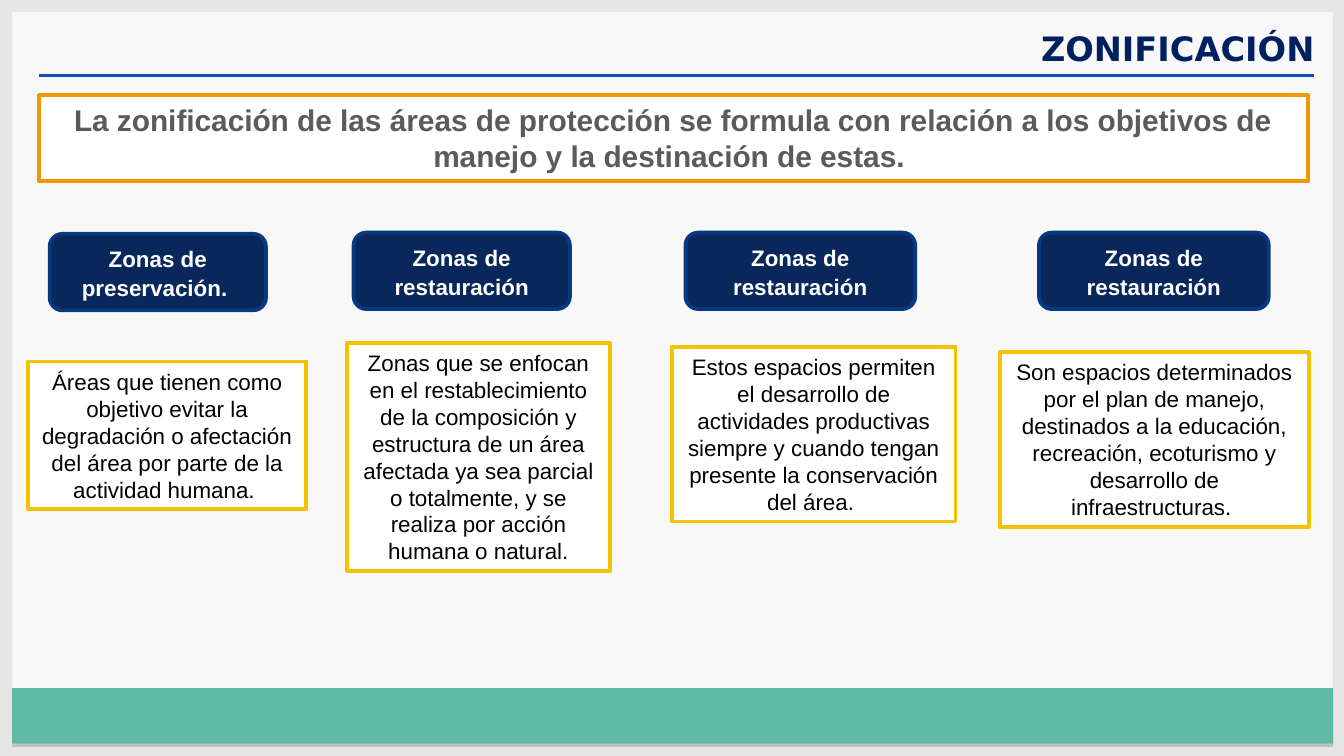
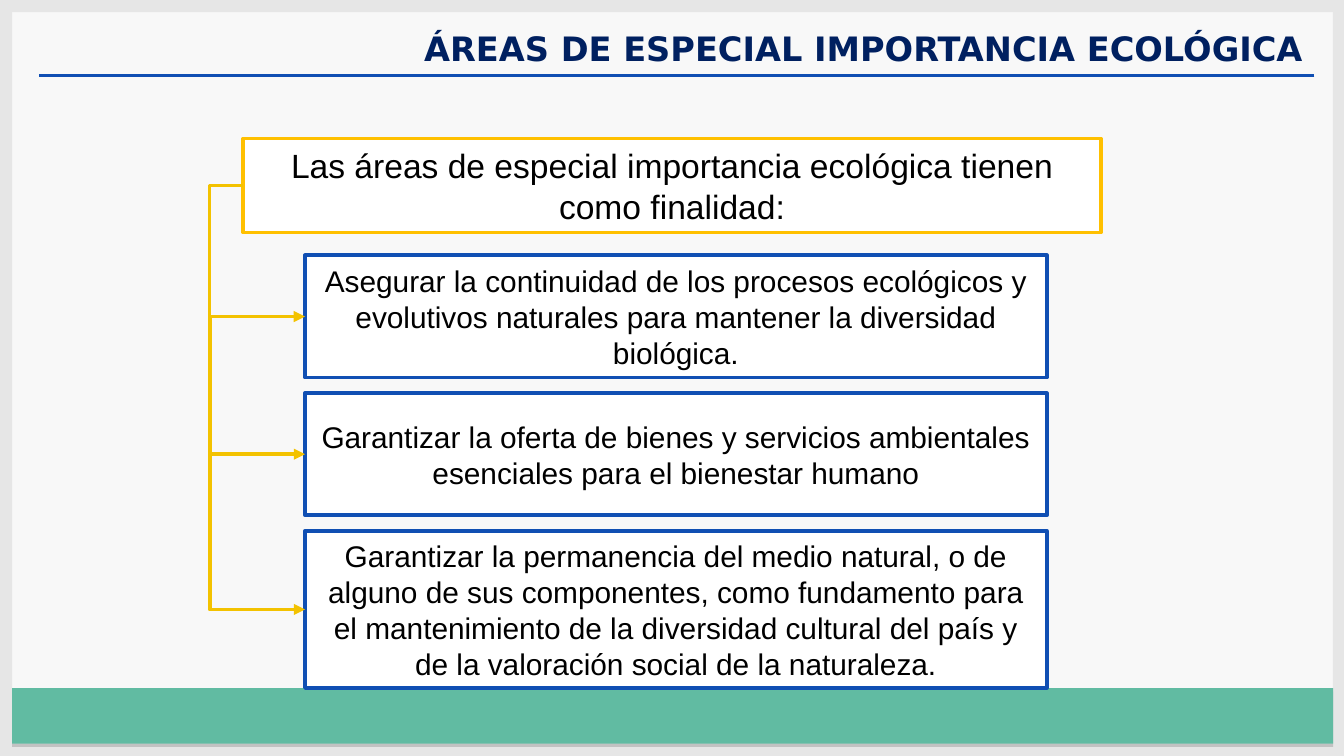
from collections import namedtuple
from lxml.etree import SubElement as sub
from pptx import Presentation
from pptx.dml.color import RGBColor as Color
from pptx.enum.shapes import MSO_CONNECTOR as Link, MSO_SHAPE as Kind
from pptx.enum.text import MSO_ANCHOR as Anchor, PP_ALIGN as Align
from pptx.oxml.ns import qn
from pptx.util import Pt

PAPER = Color(0xF8, 0xF8, 0xF8)
GRAY = Color(0xE6, 0xE6, 0xE6)
GREEN = Color(0x61, 0xBB, 0xA2)
NAVY = Color(0x00, 0x20, 0x60)
DARK = Color(0x08, 0x27, 0x5A)
EDGE = Color(0x09, 0x38, 0x83)
BLUE = Color(0x10, 0x4F, 0xB3)
GOLD = Color(0xF3, 0xC2, 0x00)
AMBER = Color(0xFF, 0xC0, 0x00)
ORANGE = Color(0xEE, 0x99, 0x00)
SLATE = Color(0x5B, 0x5B, 0x5E)
WHITE = Color(0xFF, 0xFF, 0xFF)
BLACK = Color(0x00, 0x00, 0x00)

Box = namedtuple("Box", "x y w h")
PAGE = Box(0, 0, 720, 405)
RIM = 6.5
STROKE = 2

# Text formats
HEAD = {"name": "DejaVu Sans", "size": Pt(18), "bold": True, "color": NAVY}
BODY = {"name": "Arial", "size": Pt(12), "bold": False, "color": BLACK}
LEAD = {**BODY, "size": Pt(16), "bold": True, "color": SLATE}
PILL = {**BODY, "bold": True, "color": WHITE}
GOAL = {**BODY, "size": Pt(16)}
INTRO = {**BODY, "size": Pt(18)}

# Each zone: label, label box, note, note box
ZONES = [
    ("Zonas de preservación. ", Box(26.6, 125.3, 115.9, 41),
     "Áreas que tienen como objetivo evitar la degradación o afectación "
     "del área por parte de la actividad humana. ",
     Box(15.1, 193.7, 149, 79.2)),
    ("Zonas de restauración", Box(189.4, 124.6, 115.9, 41),
     "Zonas que se enfocan en el restablecimiento de la composición y "
     "estructura de un área afectada ya sea parcial o totalmente, y se "
     "realiza por acción humana o natural.",
     Box(185.8, 183.6, 141.1, 122.4)),
    ("Zonas de restauración", Box(367.2, 124.6, 123.1, 41),
     "Estos espacios permiten el desarrollo de actividades productivas "
     "siempre y cuando tengan presente la conservación del área. ",
     Box(360, 185.8, 151.9, 93.6)),
    ("Zonas de restauración", Box(556.6, 124.6, 123.1, 41),
     "Son espacios determinados por el plan de manejo, destinados a la "
     "educación, recreación, ecoturismo y desarrollo de infraestructuras. ",
     Box(535.7, 188.6, 165.6, 93.6)),
]

# Each goal: height, text
GOALS = [
    (65.5, "Asegurar la continuidad de los procesos ecológicos y evolutivos "
           "naturales para mantener la diversidad biológica."),
    (65.5, "Garantizar la oferta de bienes y servicios ambientales "
           "esenciales para el bienestar humano"),
    (84.2, "Garantizar la permanencia del medio natural, o de alguno de sus "
           "componentes, como fundamento para el mantenimiento de la "
           "diversidad cultural del país y de la valoración social de la "
           "naturaleza."),
]


def pts(*nums):
    return [Pt(n) for n in nums]


def write(shape, text, form, align=Align.CENTER, anchor=Anchor.TOP, gap=None):
    frame = shape.text_frame
    frame.word_wrap = True
    frame.vertical_anchor = anchor
    para = frame.paragraphs[0]
    para.alignment = align
    para.line_spacing = gap
    run = para.add_run()
    run.text = text
    for key, value in form.items():
        if key == "color":
            run.font.color.rgb = value
        else:
            setattr(run.font, key, value)


def block(slide, box, fill, edge=None, kind=Kind.RECTANGLE):
    shape = slide.shapes.add_shape(kind, *pts(*box))
    shape.shadow.inherit = False
    shape.fill.solid()
    shape.fill.fore_color.rgb = fill
    if edge is None:
        shape.line.fill.background()
    else:
        shape.line.color.rgb = edge
        shape.line.width = Pt(STROKE)
    return shape


def link(slide, kind, start, end, color):
    line = slide.shapes.add_connector(kind, *pts(*start, *end))
    line.line.color.rgb = color
    line.line.width = Pt(STROKE)
    sub(line._element.spPr, qn("a:effectLst"))
    return line


def elbow(slide, start, end, turn):
    """Arrow that runs across to x = turn, then down, then across to end."""
    props = link(slide, Link.ELBOW, start, end, GOLD)._element.spPr
    ratio = (turn - start[0]) / (end[0] - start[0])
    guides = props.find(qn("a:prstGeom")).get_or_add_avLst()
    sub(guides, qn("a:gd"), name="adj1", fmla=f"val {round(ratio * 100000)}")
    sub(props.find(qn("a:ln")), qn("a:tailEnd"), type="triangle")


def shade(shape):
    effect = shape._element.spPr.find(qn("a:effectLst"))
    drop = sub(effect, qn("a:outerShdw"), dist=str(Pt(1.8)), dir="5400000",
               rotWithShape="0")
    tone = sub(drop, qn("a:srgbClr"), val="808080")
    sub(tone, qn("a:alpha"), val="35000")


def base(deck, title, box):
    """Add a slide with its frame, green band, title and rule."""
    slide = deck.slides.add_slide(deck.slide_layouts[6])
    back = slide.background.fill
    back.solid()
    back.fore_color.rgb = PAPER
    x, y, w, h = box
    # Frame
    for side in (Box(x, y, w, RIM), Box(x, y + h - RIM, w, RIM),
                 Box(x, y, RIM, h), Box(x + w - RIM + 0.5, y, RIM, h)):
        block(slide, side, GRAY)
    # Band
    shade(block(slide, Box(x + RIM, y + h - 36.3, w - 2 * RIM + 0.7, 29.7),
                GREEN))
    # Title and rule
    head = slide.shapes.add_textbox(*pts(x + 209.5, y + 11.5, 501.8, 28.8))
    write(head, title, HEAD, Align.RIGHT)
    link(slide, Link.STRAIGHT, (x + 704.2, y + 40.4), (x + 20.9, y + 40.4),
         BLUE)
    return slide


def zone(slide, label, top, note, box):
    pill = block(slide, top, DARK, EDGE, Kind.ROUNDED_RECTANGLE)
    write(pill, label, PILL, anchor=Anchor.MIDDLE, gap=1.07)
    write(block(slide, box, WHITE, GOLD), note, BODY)


def tree(slide, box):
    """Intro box on top, goals stacked below, arrows on the left."""
    intro = Box(box.x, box.y, box.w, 50.4)
    write(block(slide, intro, WHITE, AMBER),
          "Las áreas de especial importancia ecológica tienen como finalidad:",
          INTRO)
    left, top, trunk = box.x + 33.1, box.y + 62.6, box.x - 18
    start = (box.x, box.y + intro.h / 2)
    for high, text in GOALS:
        goal = block(slide, Box(left, top, 397.4, high), WHITE, BLUE)
        write(goal, text, GOAL, anchor=Anchor.MIDDLE)
        mid = top + high / 2
        elbow(slide, start, (left, mid), trunk)
        start = (trunk, mid)
        top += high + 8.3


def main():
    deck = Presentation()
    deck.slide_width, deck.slide_height = pts(PAGE.w, PAGE.h)

    # Zoning
    slide = base(deck, "ZONIFICACIÓN", PAGE)
    lead = block(slide, Box(20.9, 51.1, 679.7, 46.1), WHITE, ORANGE)
    write(lead, "La zonificación de las áreas de protección se formula con "
                "relación a los objetivos de manejo y la destinación de "
                "estas. ", LEAD)
    for item in ZONES:
        zone(slide, *item)

    # Areas of special importance
    slide = base(deck, "ÁREAS DE ESPECIAL IMPORTANCIA ECOLÓGICA ", PAGE)
    tree(slide, Box(130.3, 74.2, 459.4, 294.4))

    deck.save("out.pptx")


if __name__ == "__main__":
    main()
